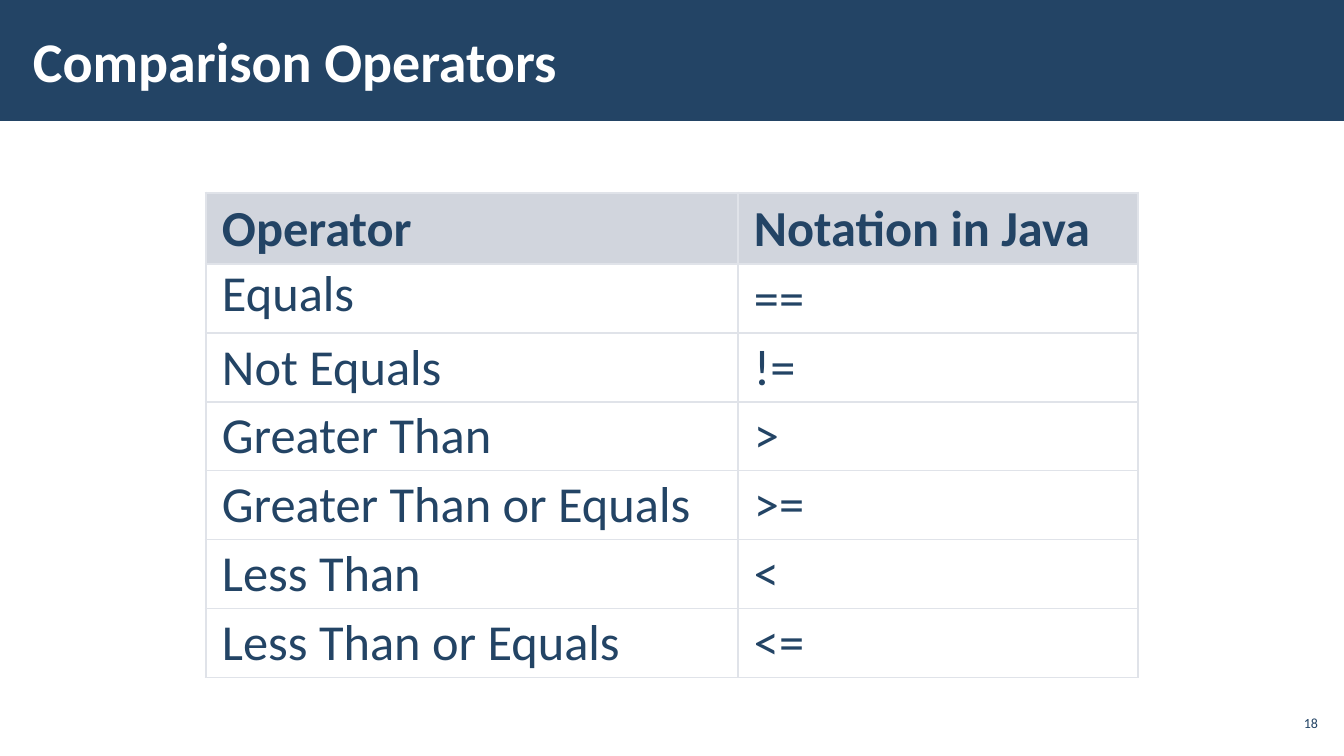
"""Build the Comparison Operators slide."""
from lxml.etree import SubElement
from pptx import Presentation
from pptx.dml.color import RGBColor
from pptx.enum.shapes import MSO_SHAPE
from pptx.enum.text import MSO_ANCHOR, PP_ALIGN
from pptx.oxml.ns import qn
from pptx.util import Emu, Pt

PX = 914400 / 100.8
NAVY, WHITE, GRID, HEADER = "234465", "FFFFFF", "E0E3E9", "D1D5DD"
OPERATORS = [
    ("Operator", "Notation in Java"),
    ("Equals", "=="),
    ("Not Equals", "!="),
    ("Greater Than", ">"),
    ("Greater Than or Equals", ">="),
    ("Less Than", "<"),
    ("Less Than or Equals", "<="),
]


def px(*lengths):
    return [Emu(round(length * PX)) for length in lengths]


def color(hex_string):
    return RGBColor.from_string(hex_string)


deck = Presentation()
deck.slide_width, deck.slide_height = px(1344, 756)
slide = deck.slides.add_slide(deck.slide_layouts[6])

banner = slide.shapes.add_shape(MSO_SHAPE.RECTANGLE, *px(0, 0, 1344, 121))
banner.shadow.inherit = False
banner.fill.solid()
banner.fill.fore_color.rgb = color(NAVY)
banner.line.fill.background()

for text, box, inset, size, ink, bold, align in [
    ("Comparison Operators", (21, 11, 1047, 98), 12, 40, WHITE, True, PP_ALIGN.LEFT),
    ("18", (1275, 706, 47, 34), 4, 10, NAVY, False, PP_ALIGN.RIGHT),
]:
    frame = slide.shapes.add_textbox(*px(*box)).text_frame
    frame.word_wrap = True
    frame.vertical_anchor = MSO_ANCHOR.MIDDLE
    frame.margin_left, frame.margin_right = px(inset, inset)
    frame.margin_top, frame.margin_bottom = px(4, 4)
    line = frame.paragraphs[0]
    line.text = text
    line.alignment = align
    line.font.name, line.font.size, line.font.bold = "Calibri", Pt(size), bold
    line.font.color.rgb = color(ink)

table = slide.shapes.add_table(len(OPERATORS), 2, *px(206, 193, 932, 485)).table
table.horz_banding = False
table.columns[0].width, table.columns[1].width = px(532, 400)
for row, texts in enumerate(OPERATORS):
    is_header = row == 0
    table.rows[row].height = px(71 if is_header else 69)[0]
    for column, text in enumerate(texts):
        cell = table.cell(row, column)
        cell.vertical_anchor = MSO_ANCHOR.MIDDLE
        cell.margin_left, cell.margin_right = px(16, 16)
        cell.margin_top, cell.margin_bottom = px(5, 5)

        label = cell.text_frame.paragraphs[0]
        label.text = text
        label.line_spacing = Pt(38) if text == "Equals" else 0.95
        label.font.name, label.font.size, label.font.bold = "Calibri", Pt(36), is_header
        label.font.color.rgb = color(NAVY)

        heavy_sides = {"lnL": column == 0, "lnR": column == 1,
                       "lnT": row <= 1, "lnB": is_header}
        for side, heavy in heavy_sides.items():
            border = SubElement(cell._tc.get_or_add_tcPr(), qn(f"a:{side}"),
                                w=str(Pt(2.25 if heavy else 1)))
            fill = SubElement(border, qn("a:solidFill"))
            SubElement(fill, qn("a:srgbClr"), val=GRID)

        if is_header:
            cell.fill.solid()
            cell.fill.fore_color.rgb = color(HEADER)
        else:
            cell.fill.background()

deck.save("out.pptx")
